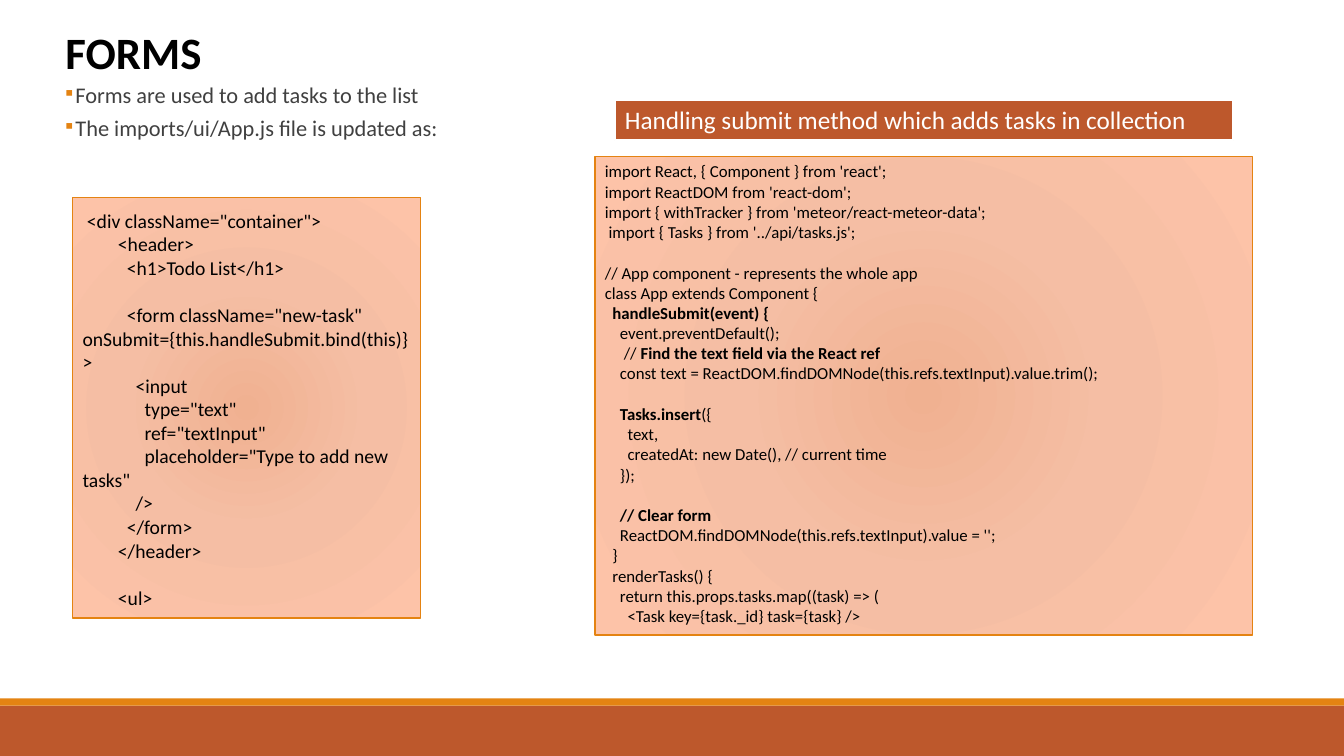
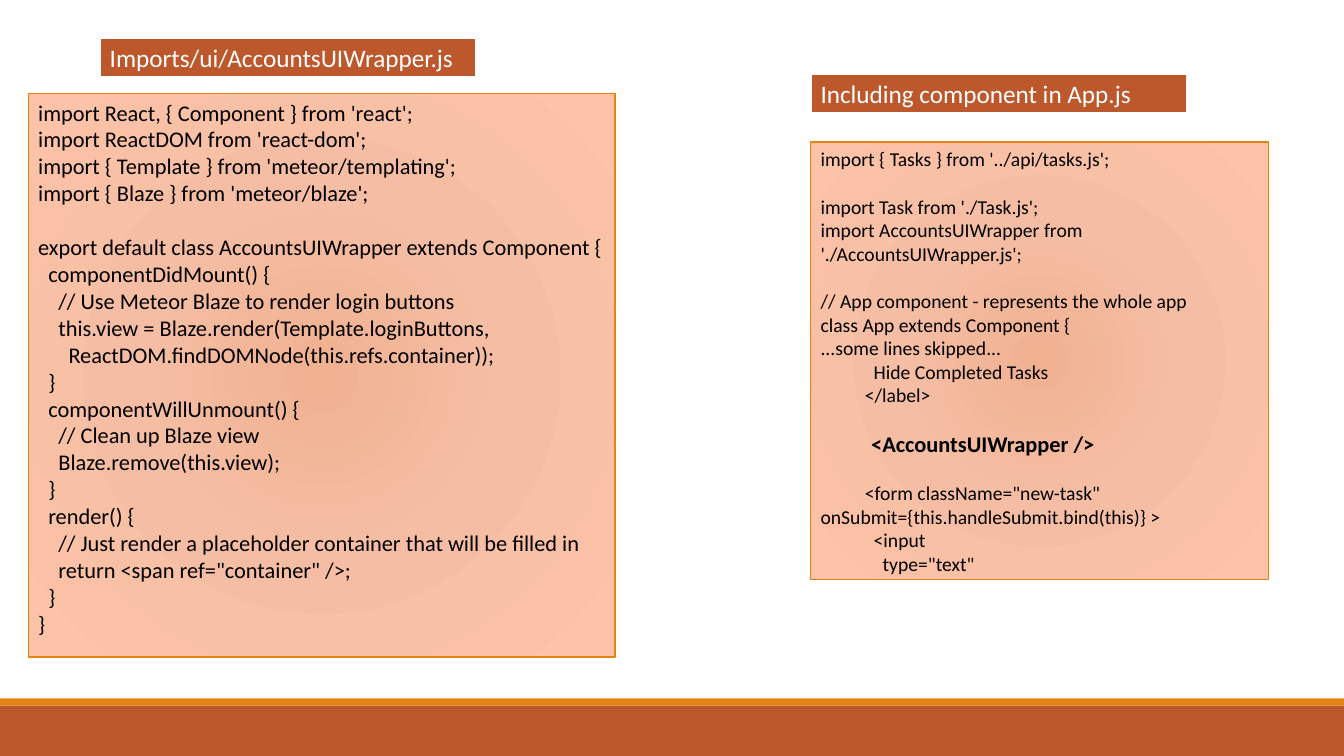
from dataclasses import dataclass
from typing import Any

from pptx import Presentation
from pptx.dml.color import RGBColor
from pptx.enum.shapes import MSO_SHAPE
from pptx.enum.text import MSO_ANCHOR, PP_ALIGN
from pptx.oxml import parse_xml
from pptx.oxml.ns import nsdecls, qn
from pptx.util import Inches, Pt


@dataclass(frozen=True)
class Theme:
    """Colours, type sizes and text metrics shared by the slides."""

    font: str = "Calibri"
    rust: str = "BD582C"
    orange: str = "E48312"
    white: str = "FFFFFF"
    black: str = "000000"
    grey: str = "404040"
    glow: tuple = ((0, "F0B191"), (45, "F5BEA4"), (100, "FDC3A8"))
    title_size: int = 32
    label_size: int = 18
    bullet_size: int = 16
    space_width: float = 0.226
    line_height: float = 1.22


@dataclass(frozen=True)
class Frame:
    """Position and size in inches."""

    left: float
    top: float
    width: float
    height: float

    def lengths(self) -> list:
        """Return the frame as slide lengths."""
        return [Inches(side) for side in (self.left, self.top, self.width, self.height)]


@dataclass(frozen=True)
class Label:
    """Heading bar above a code panel."""

    frame: Frame
    text: str


@dataclass(frozen=True)
class Panel:
    """Code listing in which double asterisks switch bold on and off."""

    frame: Frame
    size: int
    code: str
    strong_size: int
    top_inset: float = 0.05


@dataclass(frozen=True)
class Page:
    """Content of one slide."""

    labels: tuple
    panels: tuple
    title: str = ""
    bullets: tuple = ()


THEME = Theme()
BANDS = (
    (Frame(0, 7, 13.33, 0.5), THEME.rust),
    (Frame(0, 6.93, 13.33, 0.07), THEME.orange),
)
TITLE_FRAME = Frame(0.55, 0.2, 5, 0.64)
BULLET_FRAME = Frame(0.55, 0.87, 4.07, 0.71)

FORM_CODE = """
 <div className="container">
        <header>
          <h1>Todo List</h1>

          <form className="new-task" onSubmit={this.handleSubmit.bind(this)} >
            <input
              type="text"
              ref="textInput"
              placeholder="Type to add new tasks"
            />
          </form>
        </header>

        <ul>
"""

SUBMIT_CODE = """
import React, { Component } from 'react';
import ReactDOM from 'react-dom';
import { withTracker } from 'meteor/react-meteor-data';
 import { Tasks } from '../api/tasks.js';

// App component - represents the whole app
class App extends Component {
  **handleSubmit(event) {**
    event.preventDefault();
     // **Find the text field via the React ref**
    const text = ReactDOM.findDOMNode(this.refs.textInput).value.trim();

    **Tasks.insert**({
      text,
      createdAt: new Date(), // current time
    });

    **// Clear form**
    ReactDOM.findDOMNode(this.refs.textInput).value = '';
  }
  renderTasks() {
    return this.props.tasks.map((task) => (
      <Task key={task._id} task={task} />
"""

WRAPPER_CODE = """
import React, { Component } from 'react';
import ReactDOM from 'react-dom';
import { Template } from 'meteor/templating';
import { Blaze } from 'meteor/blaze';

export default class AccountsUIWrapper extends Component {
  componentDidMount() {
    // Use Meteor Blaze to render login buttons
    this.view = Blaze.render(Template.loginButtons,
      ReactDOM.findDOMNode(this.refs.container));
  }
  componentWillUnmount() {
    // Clean up Blaze view
    Blaze.remove(this.view);
  }
  render() {
    // Just render a placeholder container that will be filled in
    return <span ref="container" />;
  }
}
"""

INCLUDE_CODE = """
import { Tasks } from '../api/tasks.js';

import Task from './Task.js';
import AccountsUIWrapper from './AccountsUIWrapper.js';

// App component - represents the whole app
class App extends Component {
...some lines skipped...
            Hide Completed Tasks
          </label>

          **<AccountsUIWrapper />**

          <form className="new-task" onSubmit={this.handleSubmit.bind(this)} >
            <input
              type="text"
"""

PAGES = (
    Page(
        title="FORMS",
        bullets=(
            "Forms are used to add tasks to the list",
            "The imports/ui/App.js file is updated as:",
        ),
        labels=(
            Label(Frame(6.1, 0.99, 6.13, 0.4),
                  "Handling submit method which adds tasks in collection"),
        ),
        panels=(
            Panel(Frame(0.72, 1.96, 3.45, 4.17), 14, FORM_CODE, 14, 0.11),
            Panel(Frame(5.9, 1.55, 6.52, 4.75), 12, SUBMIT_CODE, 12),
        ),
    ),
    Page(
        labels=(
            Label(Frame(0.99, 0.37, 3.74, 0.4), "Imports/ui/AccountsUIWrapper.js"),
            Label(Frame(8.04, 0.73, 3.74, 0.4), "Including component in App.js"),
        ),
        panels=(
            Panel(Frame(0.28, 0.93, 5.82, 5.59), 16, WRAPPER_CODE, 16),
            Panel(Frame(8.04, 1.41, 4.54, 4.34), 14, INCLUDE_CODE, 16),
        ),
    ),
)


def apply_format(target: Any, values: dict) -> None:
    """Set each named attribute on the target."""
    for name, value in values.items():
        setattr(target, name, value)


def add_span(para: Any, text: str, size: float, color: str, bold: bool = False) -> None:
    """Append formatted text to a paragraph."""
    span = para.add_run()
    span.text = text
    apply_format(span.font, {"name": THEME.font, "size": Pt(size), "bold": bold})
    span.font.color.rgb = RGBColor.from_string(color)


def next_para(box: Any, index: int) -> Any:
    """Return the first paragraph or add another one."""
    frame = box.text_frame
    para = frame.add_paragraph() if index else frame.paragraphs[0]
    para.alignment = PP_ALIGN.LEFT
    return para


def add_text_box(slide: Any, frame: Frame) -> Any:
    """Add a wrapping text box."""
    box = slide.shapes.add_textbox(*frame.lengths())
    box.text_frame.word_wrap = True
    return box


def add_bar(slide: Any, frame: Frame, fill: str, line: str = "", width: float = 0) -> Any:
    """Add a flat rectangle with an optional outline."""
    box = slide.shapes.add_shape(MSO_SHAPE.RECTANGLE, *frame.lengths())
    box.shadow.inherit = False
    box.fill.solid()
    box.fill.fore_color.rgb = RGBColor.from_string(fill)
    if line:
        box.line.color.rgb = RGBColor.from_string(line)
        box.line.width = Pt(width)
    else:
        box.line.fill.background()
    apply_format(box.text_frame, {"word_wrap": True, "vertical_anchor": MSO_ANCHOR.TOP})
    return box


def add_glow(box: Any) -> None:
    """Replace the solid fill with the radial gradient."""
    stops = "".join(
        f'<a:gs pos="{place * 1000}"><a:srgbClr val="{color}"/></a:gs>'
        for place, color in THEME.glow
    )
    gradient = parse_xml(
        f'<a:gradFill {nsdecls("a")} rotWithShape="1"><a:gsLst>{stops}</a:gsLst>'
        '<a:path path="circle"><a:fillToRect l="100000" t="100000" r="100000" b="100000"/>'
        "</a:path></a:gradFill>"
    )
    properties = box._element.spPr
    properties.replace(properties.find(qn("a:solidFill")), gradient)


def add_panel(slide: Any, panel: Panel) -> None:
    """Draw a code listing, turning leading spaces and empty lines into indents and gaps."""
    box = add_bar(slide, panel.frame, THEME.glow[0][1], THEME.orange, 1)
    add_glow(box)
    box.text_frame.margin_top = Inches(panel.top_inset)
    count = gap = 0
    for line in panel.code.strip("\n").split("\n"):
        text = line.lstrip()
        if not text:
            gap += 1
            continue
        para = next_para(box, count)
        size = panel.strong_size if text.startswith("**") else panel.size
        indent = (len(line) - len(text)) * THEME.space_width * size / 72
        apply_format(para, {"space_before": Pt(gap * panel.size * THEME.line_height)})
        apply_format(para._p.get_or_add_pPr(), {"marL": 0, "indent": Inches(indent)})
        para._p.get_or_add_pPr().set("indent", str(Inches(indent)))
        for index, part in enumerate(text.split("**")):
            if part:
                bold = index % 2 == 1
                add_span(para, part, panel.strong_size if bold else panel.size,
                         THEME.black, bold)
        count, gap = count + 1, 0


def add_bullets(slide: Any, bullets: tuple) -> None:
    """Draw the bulleted introduction."""
    box = add_text_box(slide, BULLET_FRAME)
    for index, text in enumerate(bullets):
        para = next_para(box, index)
        apply_format(para, {"line_spacing": 0.5, "space_before": Pt(12), "space_after": Pt(2)})
        properties = para._p.get_or_add_pPr()
        for name, length in (("marL", 0.1), ("indent", -0.1)):
            properties.set(name, str(Inches(length)))
        for markup in (f'buClr {nsdecls("a")}><a:srgbClr val="{THEME.orange}"/></a:buClr>',
                       f'buFont {nsdecls("a")} typeface="{THEME.font}"/>',
                       f'buChar {nsdecls("a")} char="▪"/>'):
            properties.append(parse_xml(f"<a:{markup}"))
        add_span(para, text, THEME.bullet_size, THEME.grey)


def add_page(deck: Any, page: Page) -> None:
    """Build one slide with its bands, headings and panels."""
    slide = deck.slides.add_slide(deck.slide_layouts[6])
    for frame, color in BANDS:
        add_bar(slide, frame, color)
    if page.title:
        box = add_text_box(slide, TITLE_FRAME)
        add_span(next_para(box, 0), page.title, THEME.title_size, THEME.black, True)
    if page.bullets:
        add_bullets(slide, page.bullets)
    for panel in page.panels:
        add_panel(slide, panel)
    for label in page.labels:
        box = add_bar(slide, label.frame, THEME.rust, THEME.white, 2)
        add_span(next_para(box, 0), label.text, THEME.label_size, THEME.white)


deck = Presentation()
apply_format(deck, {"slide_width": Inches(13.33), "slide_height": Inches(7.5)})
for page in PAGES:
    add_page(deck, page)
deck.save("out.pptx")
